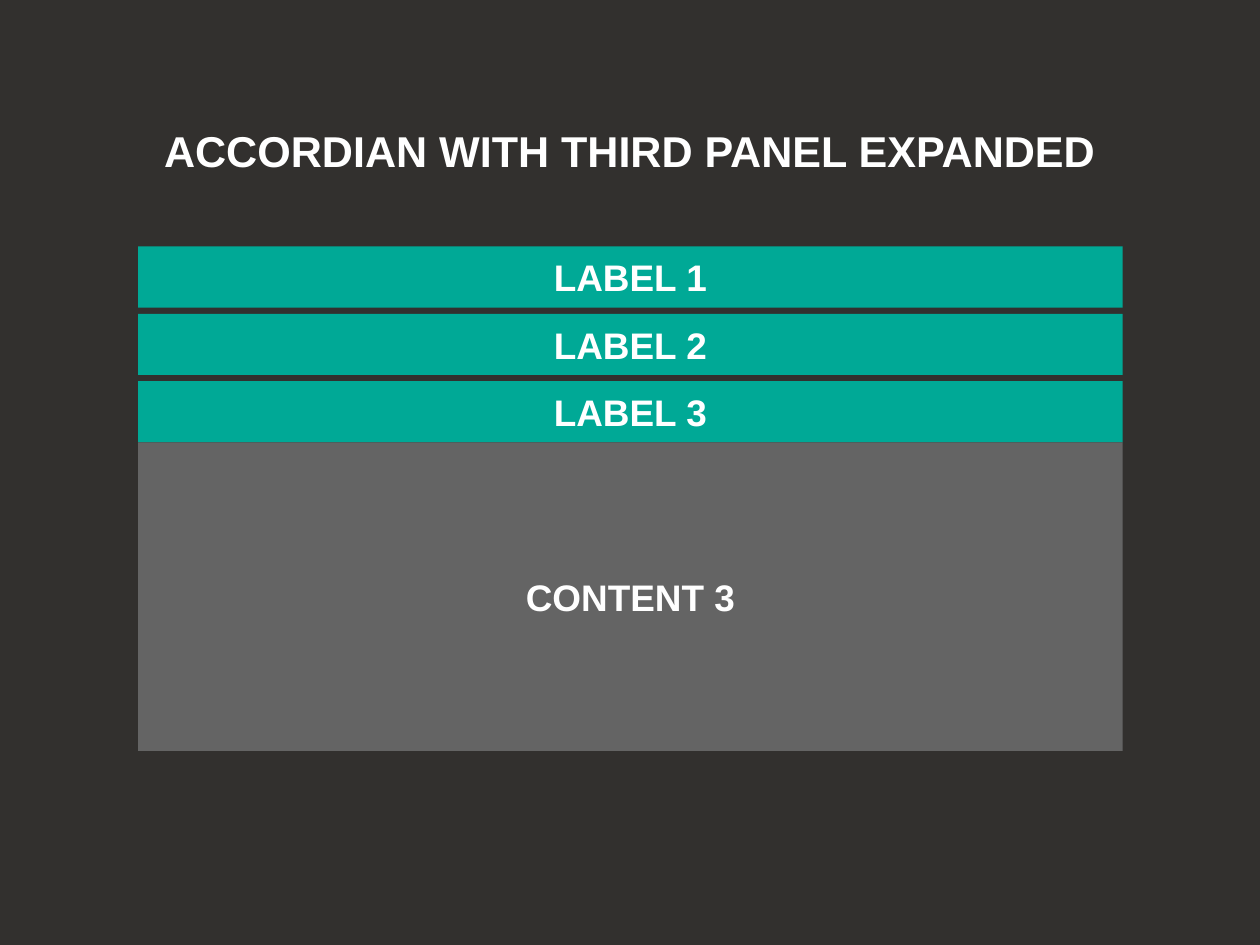
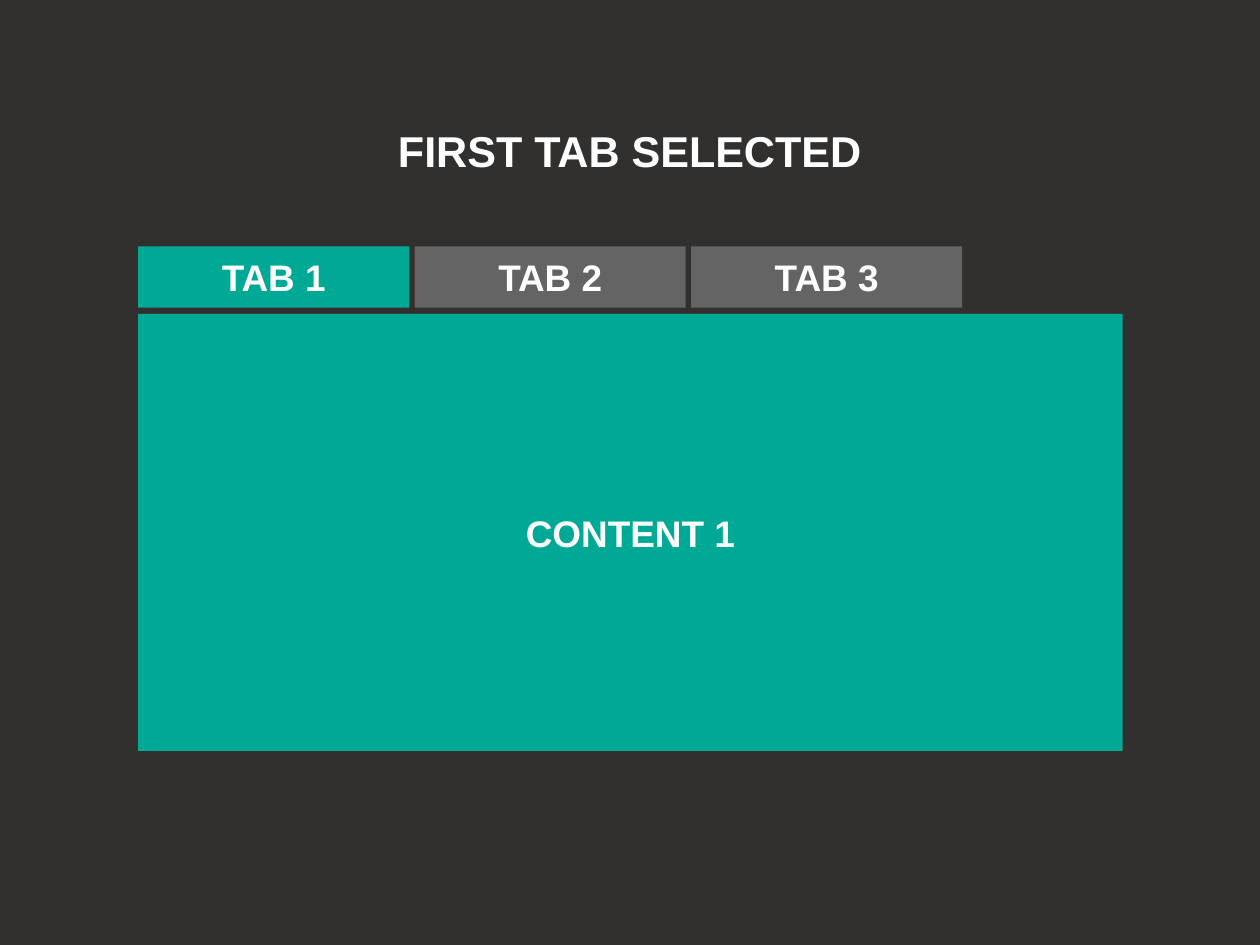
from pptx import Presentation
from pptx.dml.color import RGBColor
from pptx.enum import shapes, text
from pptx.util import Inches, Pt

# Content
ACCORDION = {
    "title": "ACCORDIAN WITH THIRD PANEL EXPANDED",
    "labels": ["LABEL 1", "LABEL 2", "LABEL 3"],
    "content": "CONTENT 3",
}
TABS = {
    "title": "FIRST TAB SELECTED",
    "labels": ["TAB 1", "TAB 2", "TAB 3"],
    "selected": 0,
    "content": "CONTENT 1",
}

# Shared style
DARK = RGBColor(0x32, 0x30, 0x2E)
TEAL = RGBColor(0x00, 0xA9, 0x96)
GRAY = RGBColor(0x64, 0x64, 0x64)
WHITE = RGBColor(0xFF, 0xFF, 0xFF)
FONT = {"name": "Arial", "bold": True}
TITLE_SIZE, LABEL_SIZE = Pt(35), Pt(30)

# Shared grid
SLIDE_W, SLIDE_H = Inches(14.22), Inches(10.66)
TITLE_MARGIN, TITLE_H = Inches(1.39), Inches(0.6)
LEFT, TOP, BOTTOM = Inches(1.56), Inches(2.78), Inches(8.47)
WIDTH, BAR_H, TAB_W = Inches(11.11), Inches(0.69), Inches(3.06)
BAR_GAP, TAB_GAP = Inches(0.07), Inches(0.06)


def write(shape, words, size):
    tf = shape.text_frame
    frame = {"word_wrap": True, "vertical_anchor": text.MSO_ANCHOR.MIDDLE}
    for side in ("left", "right", "top", "bottom"):
        frame["margin_" + side] = 0
    for key, value in frame.items():
        setattr(tf, key, value)
    p = tf.paragraphs[0]
    p.alignment = text.PP_ALIGN.CENTER
    r = p.add_run()
    r.text = words
    for key, value in {**FONT, "size": size}.items():
        setattr(r.font, key, value)
    r.font.color.rgb = WHITE


def add_titled_slide(prs, title):
    s = prs.slides.add_slide(prs.slide_layouts[6])
    box = s.shapes.add_textbox(TITLE_MARGIN, TITLE_MARGIN,
                               SLIDE_W - 2 * TITLE_MARGIN, TITLE_H)
    write(box, title, TITLE_SIZE)
    return s


def add_block(s, words, color, left, top, width, height):
    sp = s.shapes.add_shape(shapes.MSO_SHAPE.RECTANGLE, left, top, width, height)
    sp.shadow.inherit = False
    sp.fill.solid()
    sp.fill.fore_color.rgb = color
    sp.line.fill.background()
    write(sp, words, LABEL_SIZE)


def add_accordion(prs, data):
    s = add_titled_slide(prs, data["title"])
    # Stacked bars, with the open panel right below the last one
    for i, label in enumerate(data["labels"]):
        top = TOP + i * (BAR_H + BAR_GAP)
        add_block(s, label, TEAL, LEFT, top, WIDTH, BAR_H)
    panel_top = top + BAR_H
    add_block(s, data["content"], GRAY, LEFT, panel_top, WIDTH, BOTTOM - panel_top)


def add_tabs(prs, data):
    s = add_titled_slide(prs, data["title"])
    # Row of tabs, the selected one in the colour of its panel
    for i, label in enumerate(data["labels"]):
        color = TEAL if i == data["selected"] else GRAY
        add_block(s, label, color, LEFT + i * (TAB_W + TAB_GAP), TOP, TAB_W, BAR_H)
    panel_top = TOP + BAR_H + BAR_GAP
    add_block(s, data["content"], TEAL, LEFT, panel_top, WIDTH, BOTTOM - panel_top)


def main():
    prs = Presentation()
    prs.slide_width, prs.slide_height = SLIDE_W, SLIDE_H
    background = prs.slide_master.background.fill
    background.solid()
    background.fore_color.rgb = DARK
    add_accordion(prs, ACCORDION)
    add_tabs(prs, TABS)
    prs.save("out.pptx")


if __name__ == "__main__":
    main()
